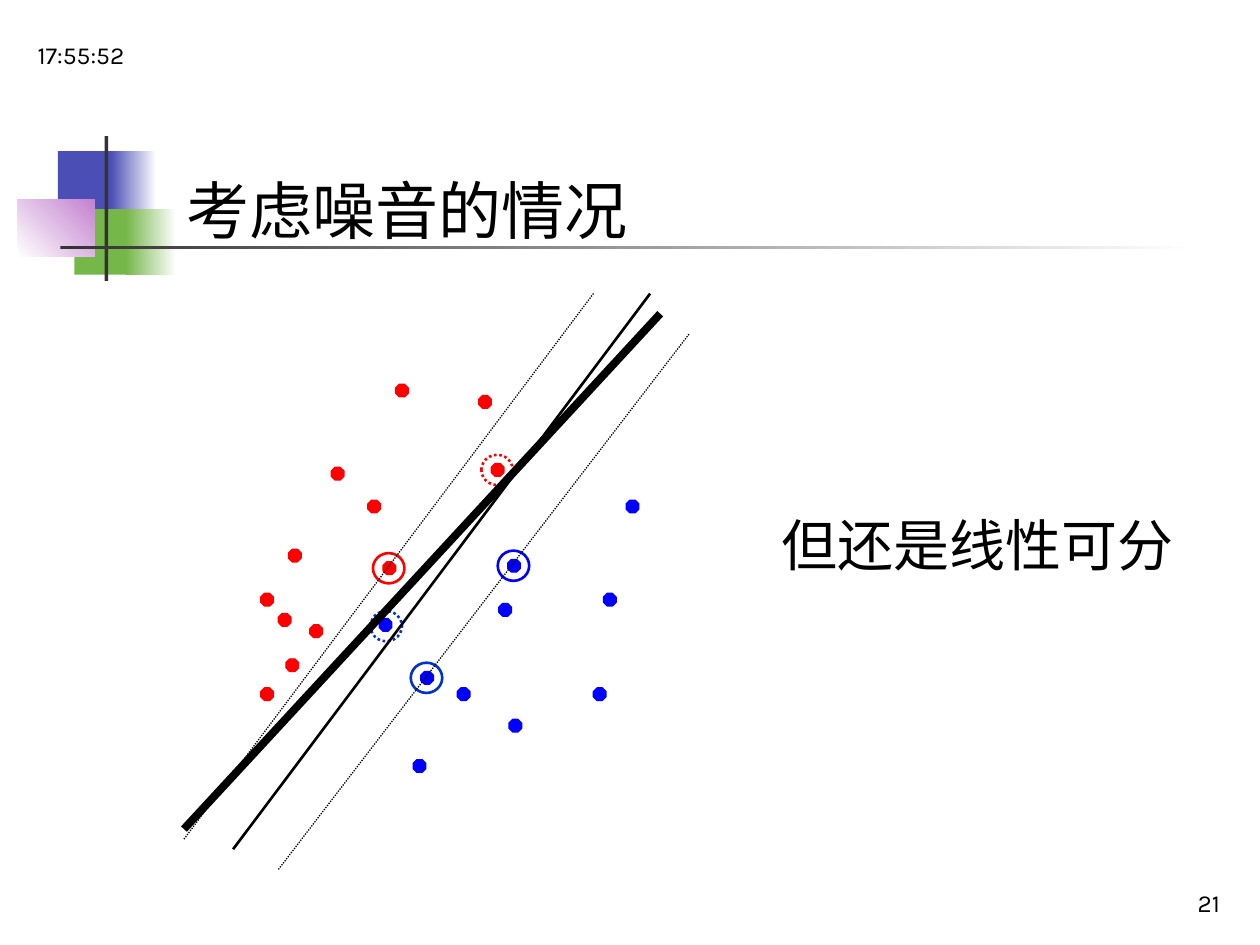
from lxml import etree
from pptx import Presentation
from pptx.dml.color import RGBColor
from pptx.enum.dml import MSO_LINE_DASH_STYLE as DASH
from pptx.enum.shapes import MSO_CONNECTOR, MSO_SHAPE
from pptx.enum.text import MSO_ANCHOR, PP_ALIGN
from pptx.oxml.ns import qn
from pptx.util import Inches, Pt

COLORS = {
    "black": "000000", "white": "FFFFFF", "dark": "333333",
    "indigo": "4B4EB5", "green": "76B749", "pink": "C481CF",
    "red": "FF0000", "blue": "0000FF", "royal": "0033CC",
}
RGB = {name: RGBColor.from_string(value) for name, value in COLORS.items()}
LATIN, CJK = "Karla", "Noto Sans CJK JP"

presentation = Presentation()
presentation.slide_width, presentation.slide_height = Inches(10), Inches(7.5)
slide = presentation.slides.add_slide(presentation.slide_layouts[6])
shapes = slide.shapes


def add_shape(kind, box, fill=None, line=None, width=0.75, dash=None):
    """Add a preset shape; a fill of (start, end, angle) is a gradient."""
    shape = shapes.add_shape(kind, *(Inches(value) for value in box))
    shape.shadow.inherit = False
    if fill is None:
        shape.fill.background()
    elif isinstance(fill, tuple):
        start, end, angle = fill
        shape.fill.gradient()
        shape.fill.gradient_angle = angle
        for stop, color in zip(shape.fill.gradient_stops, (start, end)):
            stop.color.rgb = RGB[color]
    else:
        shape.fill.solid()
        shape.fill.fore_color.rgb = RGB[fill]
    if line is None:
        shape.line.fill.background()
    else:
        shape.line.color.rgb = RGB[line]
        shape.line.width = Pt(width)
        if dash:
            shape.line.dash_style = dash
    return shape


def add_text(text, box, size, font, anchor=MSO_ANCHOR.TOP, align=PP_ALIGN.LEFT):
    frame = shapes.add_textbox(*(Inches(value) for value in box)).text_frame
    frame.word_wrap = True
    frame.vertical_anchor = anchor
    paragraph = frame.paragraphs[0]
    paragraph.text = text
    paragraph.alignment = align
    paragraph.font.size = Pt(size)
    paragraph.font.name = font
    paragraph.font.color.rgb = RGB["black"]
    # East Asian glyphs take their own typeface element
    properties = paragraph._p.pPr.find(qn("a:defRPr"))
    etree.SubElement(properties, qn("a:ea")).set("typeface", font)


# Corner ornament and title rule
for box, fill in [
    ((0.46, 1.2, 0.48, 0.52), "indigo"),
    ((0.88, 1.2, 0.36, 0.52), ("indigo", "white", 0)),
    ((0.59, 1.66, 0.46, 0.52), "green"),
    ((1, 1.66, 0.4, 0.52), ("green", "white", 0)),
    ((0.14, 1.58, 0.61, 0.46), ("white", "pink", 45)),
    ((0.83, 1.08, 0.03, 1.15), "dark"),
    ((0.48, 1.95, 9, 0.03), ("dark", "white", 0)),
]:
    add_shape(MSO_SHAPE.RECTANGLE, box, fill)

# Page number, title, remark and time
add_text("21", (7.7, 6.83, 2.08, 0.5), 14, LATIN, MSO_ANCHOR.BOTTOM, PP_ALIGN.RIGHT)
add_text("考虑噪音的情况", (1.38, 1.31, 7.17, 0.7), 36, CJK)
add_text("但还是线性可分", (6.1, 4, 3.39, 0.95), 32, CJK)
add_text("17:55:52", (0.2, 0.1, 2.08, 0.5), 14, LATIN, MSO_ANCHOR.BOTTOM)

# Sample points of the two classes
points = {
    "red": [(2.92, 3.97), (2.29, 4.36), (2.46, 4.96), (2.07, 5.46),
            (2.63, 3.71), (2.07, 4.71), (2.21, 4.87), (3.04, 4.46),
            (3.14, 3.05), (3.8, 3.14), (2.27, 5.23), (3.9, 3.68)],
    "blue": [(4.03, 4.44), (3.63, 5.46), (4.71, 5.46), (3.28, 6.03),
             (3.96, 4.79), (3.34, 5.33), (4.04, 5.71), (4.79, 4.71),
             (4.97, 3.97), (3.01, 4.91)],
}
for color, corners in points.items():
    for left, top in corners:
        point = add_shape(MSO_SHAPE.OCTAGON, (left, top, 0.1, 0.1), color, color)
        point.adjustments[0] = 0.293

# Rings: solid for support vectors, dotted for noise
for left, top, color, dash in [
    (2.96, 4.39, "red", None),
    (3.26, 5.26, "royal", None),
    (3.95, 4.37, "blue", None),
    (3.82, 3.61, "red", DASH.ROUND_DOT),
    (2.94, 4.85, "royal", DASH.ROUND_DOT),
]:
    add_shape(MSO_SHAPE.OVAL, (left, top, 0.25, 0.24), None, color, 1.5, dash)

# Separating line, its dotted margins, and the thick line shifted by noise
for x1, y1, x2, y2, width, dash in [
    (1.85, 6.74, 5.16, 2.33, 1.5, None),
    (2.21, 6.9, 5.47, 2.65, 0.75, DASH.ROUND_DOT),
    (1.46, 6.66, 4.71, 2.33, 0.75, DASH.ROUND_DOT),
    (1.46, 6.58, 5.24, 2.49, 4.5, None),
]:
    connector = shapes.add_connector(
        MSO_CONNECTOR.STRAIGHT, Inches(x1), Inches(y1), Inches(x2), Inches(y2))
    connector.line.color.rgb = RGB["black"]
    connector.line.width = Pt(width)
    if dash:
        connector.line.dash_style = dash
    etree.SubElement(connector._element.spPr, qn("a:effectLst"))

presentation.save("out.pptx")
